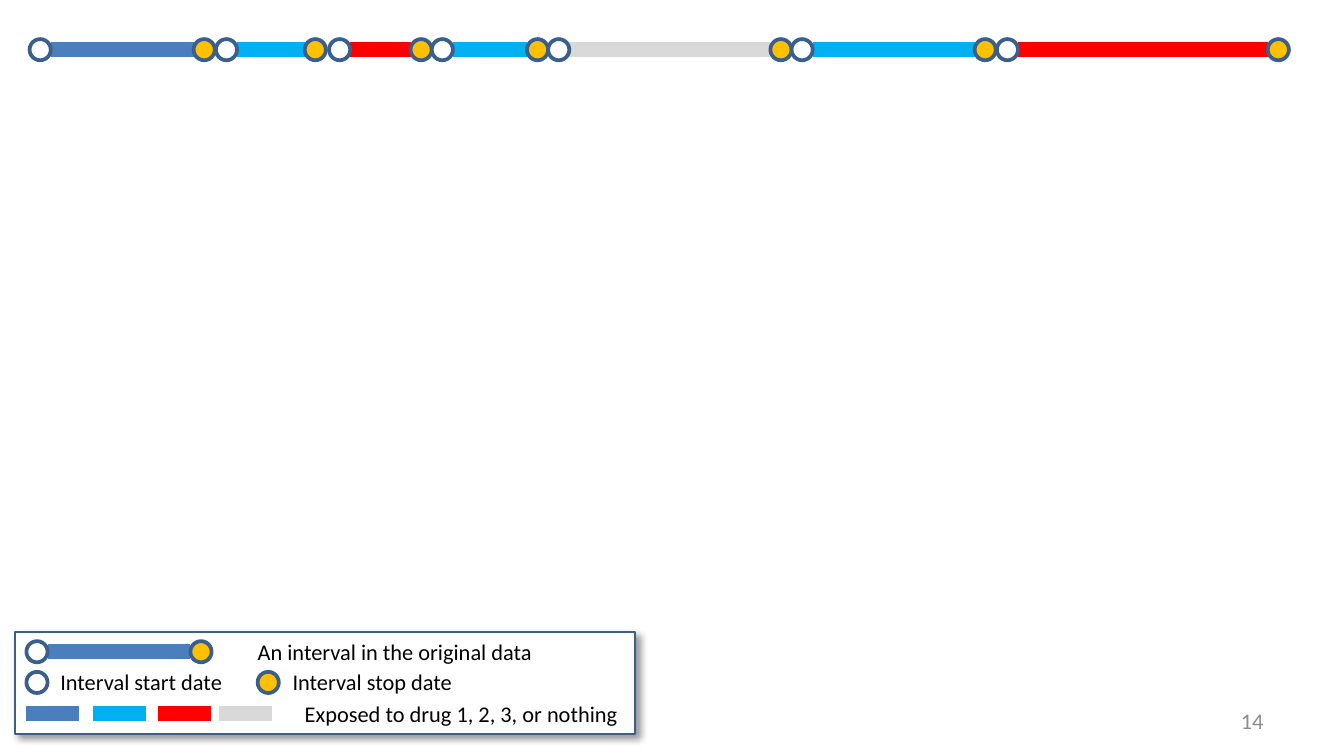
"""Build a slide with a drug exposure timeline and its legend."""
from lxml import etree
from pptx import Presentation
from pptx import util as u
from pptx.dml.color import RGBColor
from pptx.enum import shapes, text
from pptx.oxml import ns

WHITE = RGBColor(0xFF, 0xFF, 0xFF)
BLACK = RGBColor(0x00, 0x00, 0x00)
NAVY = RGBColor(0x3A, 0x5F, 0x8C)
BLUE = RGBColor(0x4B, 0x7E, 0xBC)
CYAN = RGBColor(0x00, 0xB0, 0xF0)
RED = RGBColor(0xFF, 0x00, 0x00)
PALE = RGBColor(0xD9, 0xD9, 0xD9)
GOLD = RGBColor(0xFF, 0xC0, 0x00)
GREY = RGBColor(0x8C, 0x8C, 0x8C)
DOT = 0.4


def block(group, kind, left, top, wide, high, fill, width):
    item = group.shapes.add_shape(kind, u.Cm(left), u.Cm(top), u.Cm(wide), u.Cm(high))
    item.shadow.inherit = False
    item.fill.solid()
    item.fill.fore_color.rgb = fill
    item.line.color.rgb = NAVY
    item.line.width = u.Pt(width)
    return item


def bar(group, start, stop, mid, color):
    line = group.shapes.add_connector(
        shapes.MSO_CONNECTOR.STRAIGHT, u.Cm(start), u.Cm(mid), u.Cm(stop), u.Cm(mid))
    line.line.color.rgb = color
    line.line.width = u.Pt(8)
    etree.SubElement(line._element.spPr, ns.qn("a:effectLst"))


deck = Presentation()
deck.slide_width, deck.slide_height = u.Cm(25.4), u.Cm(14.29)
slide = deck.slides.add_slide(deck.slide_layouts[6])
legend = slide.shapes.add_group_shape()
track = slide.shapes.add_group_shape()

frame = block(legend, shapes.MSO_SHAPE.RECTANGLE, 0.28, 11.94, 11.73, 1.93, WHITE, 1)
glow = etree.SubElement(
    frame._element.spPr.find(ns.qn("a:effectLst")), ns.qn("a:outerShdw"),
    blurRad="50800", dist="38100", dir="2700000", algn="tl", rotWithShape="0")
tint = etree.SubElement(glow, ns.qn("a:srgbClr"), val="000000")
etree.SubElement(tint, ns.qn("a:alpha"), val="40000")

dots = [(legend, 0.7, 12.9, WHITE), (legend, 5.07, 12.9, GOLD)]
spans = [
    (legend, 0.7, 3.8, 12.32, BLUE),
    (track, 0.76, 3.86, 0.94, BLUE),
    (track, 4.28, 5.96, 0.94, CYAN),
    (track, 6.42, 7.96, 0.94, RED),
    (track, 8.36, 10.16, 0.94, CYAN),
    (track, 10.56, 14.76, 0.94, PALE),
    (track, 15.16, 18.62, 0.94, CYAN),
    (track, 19.04, 24.16, 0.94, RED),
]
for group, start, stop, mid, color in spans:
    bar(group, start + DOT / 2, stop - DOT / 2, mid, color)
    dots += [(group, start, mid, WHITE), (group, stop, mid, GOLD)]
for group, x, y, fill in dots:
    block(group, shapes.MSO_SHAPE.OVAL, x - DOT / 2, y - DOT / 2, DOT, DOT, fill, 2)

for left, color in ((0.5, BLUE), (1.76, CYAN), (2.98, RED), (4.14, PALE)):
    bar(legend, left, left + 1, 13.49, color)

left, right = text.PP_ALIGN.LEFT, text.PP_ALIGN.RIGHT
top, middle = text.MSO_ANCHOR.TOP, text.MSO_ANCHOR.MIDDLE
labels = [
    (legend, "An interval in the original data", 4.62, 11.94, 5.84, BLACK, left, top, False),
    (legend, "Interval start date", 0.89, 12.5, 3.61, BLACK, left, top, False),
    (legend, "Interval stop date", 5.28, 12.5, 3.56, BLACK, left, top, False),
    (legend, "Exposed to drug 1, 2, 3, or nothing", 5.51, 13.11, 6.5, BLACK, left, top, False),
    (slide, "14", 18.21, 13.23, 5.92, GREY, right, middle, True),
]
style = {"name": "Calibri", "size": u.Pt(12)}
for group, words, x, y, wide, color, align, anchor, wrap in labels:
    box = group.shapes.add_textbox(u.Cm(x), u.Cm(y), u.Cm(wide), u.Cm(0.77)).text_frame
    box.word_wrap = wrap
    box.vertical_anchor = anchor
    para = box.paragraphs[0]
    para.alignment = align
    run = para.add_run()
    run.text = words
    for key, value in style.items():
        setattr(run.font, key, value)
    run.font.color.rgb = color

deck.save("out.pptx")
